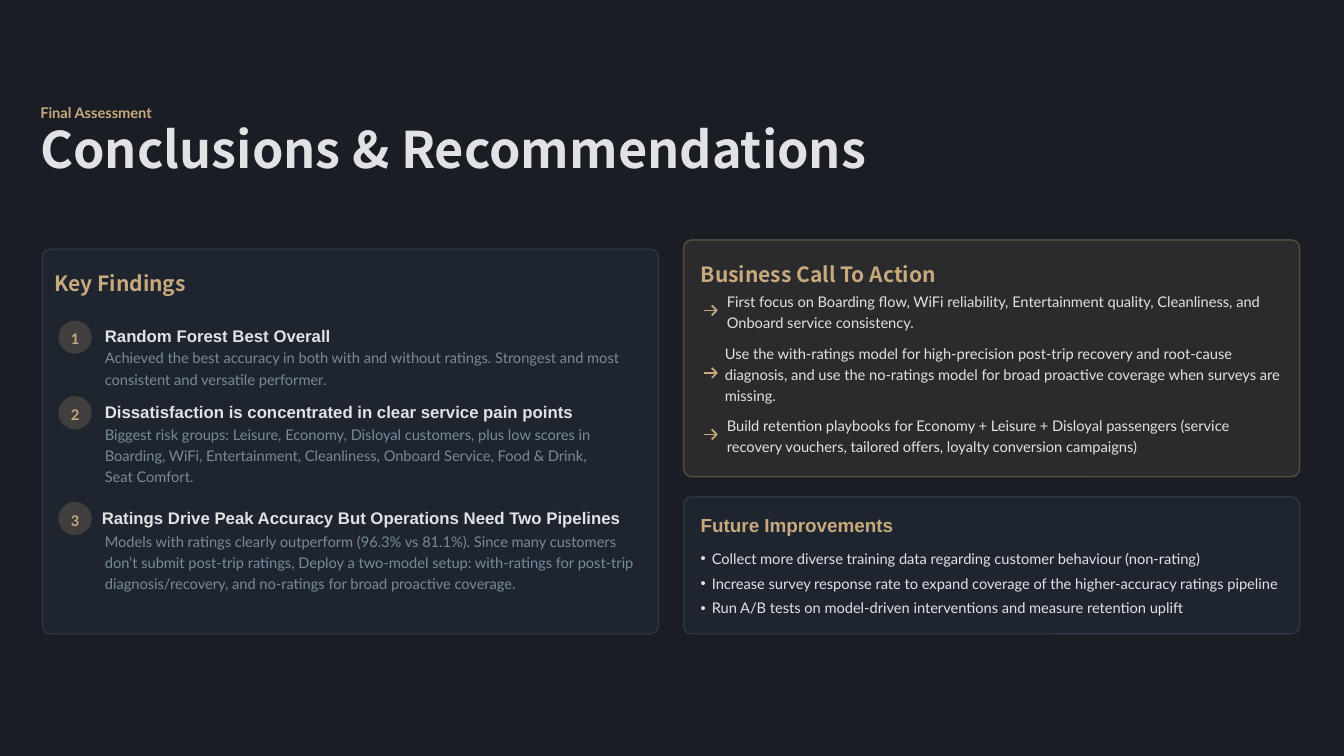
import pptx
import pptx.dml.color
import pptx.enum.dml
import pptx.enum.shapes
import pptx.enum.text
import pptx.oxml
import pptx.oxml.ns
import pptx.util

RGBColor = pptx.dml.color.RGBColor
Pt = pptx.util.Pt
Align = pptx.enum.text.PP_ALIGN
Shape = pptx.enum.shapes.MSO_SHAPE

NIGHT = RGBColor(0x1A, 0x1D, 0x24)
GOLD = RGBColor(0xC8, 0xA9, 0x7E)
STEEL = RGBColor(0x4A, 0x6C, 0x8C)
WHITE = RGBColor(0xE0, 0xE2, 0xE6)
GREY = RGBColor(0x78, 0x8A, 0x9C)

HEAD_FONT = "Noto Sans CJK SC"

# Text styles: font values, colour, line spacing
LABEL = ({"name": "Lato", "size": Pt(10.5), "bold": True}, GOLD, 1.2)
TITLE = ({"name": HEAD_FONT, "size": Pt(36), "bold": True}, WHITE, 0.8)
HEADING = ({"name": HEAD_FONT, "size": Pt(15), "bold": True}, GOLD, 1.2)
SUBHEADING = ({"name": "Arial", "size": Pt(13.5), "bold": True}, GOLD, 1.3)
FINDING = ({"name": "Arial", "size": Pt(12), "bold": True}, WHITE, 1.3)
DETAIL = ({"name": "Lato", "size": Pt(10.5), "bold": False}, GREY, 1.2)
BODY = ({"name": "Lato", "size": Pt(10.5), "bold": False}, WHITE, 1.2)

# Circle top, heading left, detail top, detail width, detail height, heading, detail
FINDINGS = [
    (318, 104, 343, 539, 42, "Random Forest Best Overall",
     "Achieved the best accuracy in both with and without ratings. Strongest and most "
     "consistent and versatile performer."),
    (393, 104, 419, 487, 63, "Dissatisfaction is concentrated in clear service pain points",
     "Biggest risk groups: Leisure, Economy, Disloyal customers, plus low scores in Boarding, "
     "WiFi, Entertainment, Cleanliness, Onboard Service, Food & Drink, Seat Comfort."),
    (498, 101, 525, 539, 63, "Ratings Drive Peak Accuracy But Operations Need Two Pipelines",
     "Models with ratings clearly outperform (96.3% vs 81.1%). Since many customers don’t "
     "submit post-trip ratings, Deploy a two-model setup: with-ratings for post-trip "
     "diagnosis/recovery, and no-ratings for broad proactive coverage."),
]

# Row centre, text left, text width, text height, text
ACTIONS = [
    (308, 721, 547, 42,
     "First focus on Boarding flow, WiFi reliability, Entertainment quality, Cleanliness, "
     "and Onboard service consistency."),
    (370, 719, 555, 64,
     "Use the with-ratings model for high-precision post-trip recovery and root-cause "
     "diagnosis, and use the no-ratings model for broad proactive coverage when surveys "
     "are missing."),
    (431, 721, 543, 42,
     "Build retention playbooks for Economy + Leisure + Disloyal passengers (service "
     "recovery vouchers, tailored offers, loyalty conversion campaigns)"),
]

IMPROVEMENTS = [
    "Collect more diverse training data regarding customer behaviour (non-rating)",
    "Increase survey response rate to expand coverage of the higher-accuracy ratings pipeline",
    "Run A/B tests on model-driven interventions and measure retention uplift",
]


def px(length):
    return pptx.util.Emu(int(length * 9144))


def set_all(target, values):
    for name, value in values.items():
        setattr(target, name, value)


def place(shape, left, top, width, height):
    set_all(shape, {"left": px(left), "top": px(top), "width": px(width), "height": px(height)})


def write(shape, lines, style, align=Align.LEFT, gap=0):
    font, color, spacing = style
    frame = shape.text_frame
    set_all(frame, {
        "margin_left": 0, "margin_right": 0, "margin_top": 0, "margin_bottom": 0,
        "word_wrap": True, "auto_size": pptx.enum.text.MSO_AUTO_SIZE.NONE,
        "vertical_anchor": pptx.enum.text.MSO_ANCHOR.MIDDLE,
    })
    for index, line in enumerate(lines):
        para = frame.add_paragraph() if index else frame.paragraphs[0]
        set_all(para, {"alignment": align, "line_spacing": spacing,
                       "space_before": Pt(gap if index else 0)})
        span = para.add_run()
        span.text = line
        set_all(span.font, font)
        span.font.color.rgb = color


def add_text(page, left, top, width, height, text, style):
    box = page.shapes.add_textbox(px(left), px(top), px(width), px(height))
    write(box, [text], style)


def set_alpha(paint, percent):
    color = paint._xPr.find(".//" + pptx.oxml.ns.qn("a:srgbClr"))
    color.append(pptx.oxml.parse_xml(
        f'<a:alpha {pptx.oxml.ns.nsdecls("a")} val="{percent * 1000}"/>'))


def add_tinted(page, kind, left, top, width, height, color, percent):
    shape = page.shapes.add_shape(kind, px(left), px(top), px(width), px(height))
    shape.shadow.inherit = False
    shape.fill.solid()
    shape.fill.fore_color.rgb = color
    set_alpha(shape.fill, percent)
    return shape


def add_panel(page, left, top, width, height, color):
    panel = add_tinted(page, Shape.ROUNDED_RECTANGLE, left, top, width, height, color, 10)
    panel.adjustments[0] = 8 / min(width, height)
    panel.line.width = Pt(1)
    panel.line.fill.solid()
    panel.line.color.rgb = color
    set_alpha(panel.line.fill, 30)


def add_badge(page, left, top, number):
    badge = add_tinted(page, Shape.OVAL, left, top, 33, 33, GOLD, 20)
    badge.line.fill.background()
    write(badge, [str(number)], LABEL, Align.CENTER)


def add_arrow(page, left, middle):
    tip = left + 13
    builder = page.shapes.build_freeform(left, middle, scale=px(1))
    builder.add_line_segments([(tip, middle)], close=False)
    builder.move_to(tip - 5, middle - 5)
    builder.add_line_segments([(tip, middle), (tip - 5, middle + 5)], close=False)
    arrow = builder.convert_to_shape()
    arrow.shadow.inherit = False
    arrow.fill.background()
    arrow.line.width = Pt(1.25)
    arrow.line.color.rgb = GOLD


def add_bullets(frame):
    for para in frame.paragraphs:
        settings = para._p.get_or_add_pPr()
        settings.set("marL", str(px(11)))
        settings.set("indent", str(px(-11)))
        settings.append(pptx.oxml.parse_xml(
            f'<a:buChar {pptx.oxml.ns.nsdecls("a")} char="•"/>'))


def main():
    deck = pptx.Presentation()
    set_all(deck, {"slide_width": px(1333), "slide_height": px(750)})
    page = deck.slides.add_slide(deck.slide_layouts[1])
    page.background.fill.solid()
    page.background.fill.fore_color.rgb = NIGHT
    title, improvements = page.placeholders

    # Header
    add_text(page, 40, 99, 1257, 21, "Final Assessment", LABEL)
    place(title, 40, 128, 1275, 50)
    write(title, ["Conclusions & Recommendations"], TITLE)

    # Key findings
    add_panel(page, 42, 247, 611, 382, STEEL)
    add_text(page, 54, 264, 588, 29, "Key Findings", HEADING)
    for number, finding in enumerate(FINDINGS, 1):
        top, left, detail_top, width, height, heading, detail = finding
        add_badge(page, 58, top, number)
        add_text(page, left, top, 540, 25, heading, FINDING)
        add_text(page, 104, detail_top, width, height, detail, DETAIL)

    # Call to action
    add_panel(page, 678, 238, 611, 235, GOLD)
    add_text(page, 695, 255, 588, 29, "Business Call To Action", HEADING)
    for middle, left, width, height, text in ACTIONS:
        add_arrow(page, 698, middle)
        add_text(page, left, middle - height // 2, width, height, text, BODY)

    # Future improvements, with the list brought in front of its panel
    add_panel(page, 678, 493, 611, 136, STEEL)
    add_text(page, 695, 503, 586, 29, "Future Improvements", SUBHEADING)
    place(improvements, 695, 542, 584, 70)
    write(improvements, IMPROVEMENTS, BODY, gap=2.5)
    add_bullets(improvements.text_frame)
    improvements.element.getparent().append(improvements.element)

    deck.save("out.pptx")


if __name__ == "__main__":
    main()
